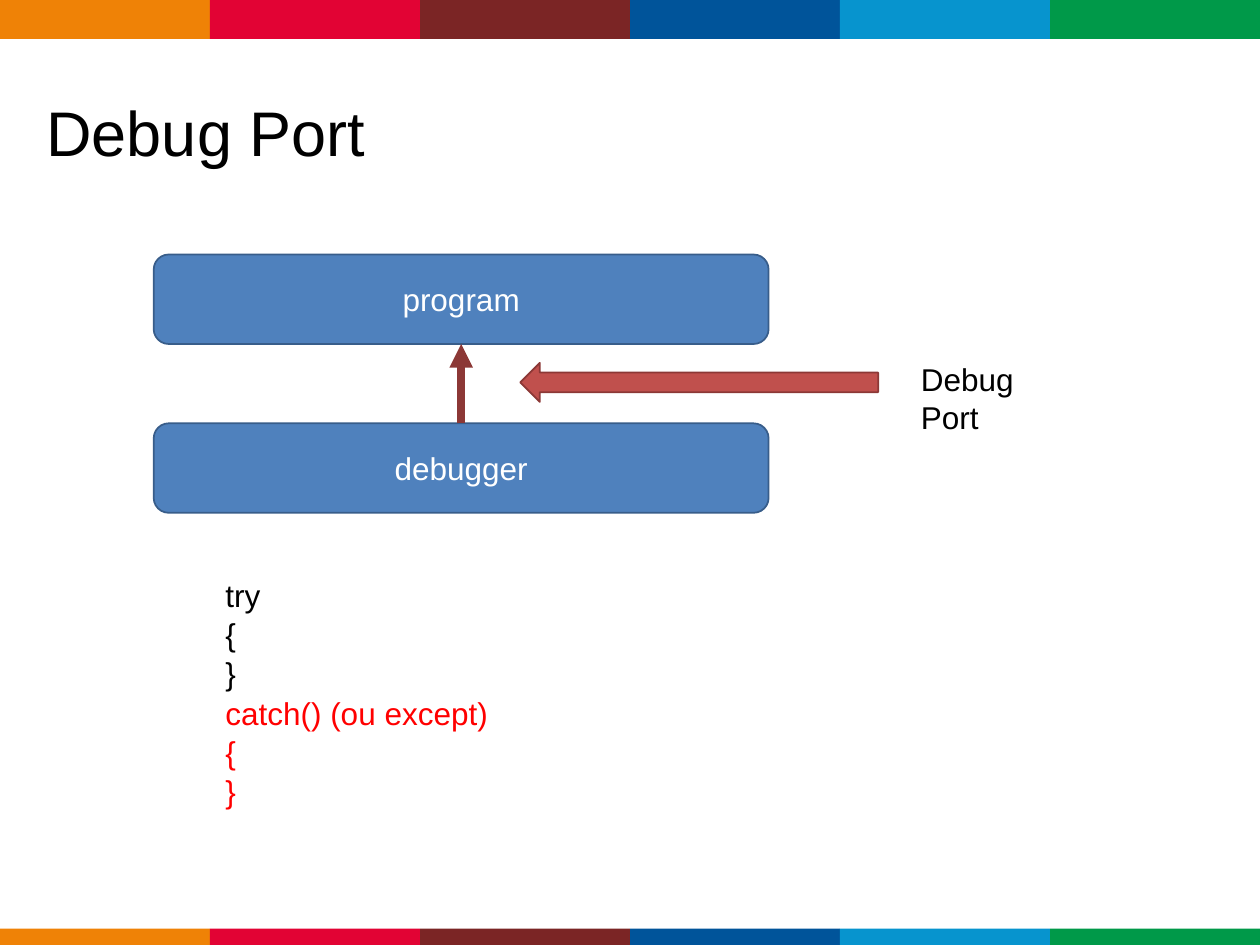
from lxml.etree import SubElement
from pptx import Presentation
from pptx.dml.color import RGBColor
from pptx.enum.shapes import MSO_CONNECTOR, MSO_SHAPE
from pptx.enum.text import MSO_ANCHOR, PP_ALIGN
from pptx.oxml.ns import qn
from pptx.util import Inches, Pt

BLACK = RGBColor(0x00, 0x00, 0x00)
WHITE = RGBColor(0xFF, 0xFF, 0xFF)
RED = RGBColor(0xFF, 0x00, 0x00)
BLUE = RGBColor(0x4F, 0x81, 0xBD)
BLUE_EDGE = RGBColor(0x38, 0x5D, 0x8A)
BRICK = RGBColor(0xC0, 0x50, 0x4D)
BRICK_EDGE = RGBColor(0x8C, 0x38, 0x36)
STRIPES = [
    RGBColor(0xEF, 0x82, 0x06),
    RGBColor(0xE2, 0x03, 0x34),
    RGBColor(0x7B, 0x25, 0x25),
    RGBColor(0x00, 0x54, 0x9A),
    RGBColor(0x07, 0x94, 0xCE),
    RGBColor(0x00, 0x99, 0x49),
]


class Deck:
    """Style and current slide, measured on a grid of 100 columns by 75 rows."""

    font = "Arial"
    size = 18
    cell = Inches(0.1)

    def __init__(self):
        self.prs = Presentation()
        self.prs.slide_width = 100 * self.cell
        self.prs.slide_height = 75 * self.cell
        self.s = self.prs.slides.add_slide(self.prs.slide_layouts[6])

    def grid(self, *lengths):
        return [round(n * self.cell) for n in lengths]

    def fill_text(self, tf, lines, size=None, align=PP_ALIGN.LEFT, spacing=None):
        for i, (line, color) in enumerate(lines):
            p = tf.add_paragraph() if i else tf.paragraphs[0]
            p.text = line
            p.alignment = align
            p.line_spacing = spacing
            p.font.name = self.font
            p.font.size = Pt(size or self.size)
            p.font.color.rgb = color

    def shape(self, kind, box, fill, edge=None):
        sp = self.s.shapes.add_shape(kind, *self.grid(*box))
        sp.shadow.inherit = False
        sp.fill.solid()
        sp.fill.fore_color.rgb = fill
        if edge is None:
            sp.line.fill.background()
        else:
            sp.line.color.rgb = edge
            sp.line.width = Pt(1)
        return sp

    def band(self, row, height):
        width = 100 / len(STRIPES)
        for i, color in enumerate(STRIPES):
            self.shape(MSO_SHAPE.RECTANGLE, (i * width, row, width, height), color)

    def block(self, label, box):
        sp = self.shape(MSO_SHAPE.ROUNDED_RECTANGLE, box, BLUE, BLUE_EDGE)
        tf = sp.text_frame
        tf.vertical_anchor = MSO_ANCHOR.MIDDLE
        self.fill_text(tf, [(label, WHITE)], align=PP_ALIGN.CENTER)
        return sp

    def text(self, box, lines, size=None, anchor=MSO_ANCHOR.TOP, wrap=True, spacing=None):
        tf = self.s.shapes.add_textbox(*self.grid(*box)).text_frame
        tf.word_wrap = wrap
        tf.vertical_anchor = anchor
        self.fill_text(tf, lines, size, spacing=spacing)

    def arrow(self, start, end, color, width):
        line = self.s.shapes.add_connector(MSO_CONNECTOR.STRAIGHT, 0, 0, 0, 0)
        line.begin_connect(start, 0)
        line.end_connect(end, 2)
        line.line.color.rgb = color
        line.line.width = Pt(width)
        spPr = line._element.spPr
        SubElement(spPr.find(qn("a:ln")), qn("a:tailEnd"), type="triangle")
        SubElement(spPr, qn("a:effectLst"))


def main():
    deck = Deck()
    deck.band(0, 3.1)
    deck.band(73.7, 1.3)
    deck.text((2.7, 5.3, 62.2, 10.2), [("Debug Port", BLACK)], 36, MSO_ANCHOR.MIDDLE)

    program, debugger = [
        deck.block(label, (12.2, 20.2 + i * 13.4, 48.8, 7.1))
        for i, label in enumerate(["program", "debugger"])
    ]
    deck.arrow(debugger, program, BRICK_EDGE, 4.5)
    deck.shape(MSO_SHAPE.LEFT_ARROW, (41.3, 28.8, 28.4, 3.1), BRICK, BRICK_EDGE)
    deck.text((72.1, 28.1, 14.6, 4), [("Debug Port", BLACK)], wrap=False)

    code = [(line, BLACK) for line in ["try", "{", "}"]]
    code += [(line, RED) for line in ["catch() (ou except)", "{", "}"]]
    deck.text((16.9, 45.1, 40.2, 19), code, spacing=1.04)
    deck.prs.save("out.pptx")


if __name__ == "__main__":
    main()
